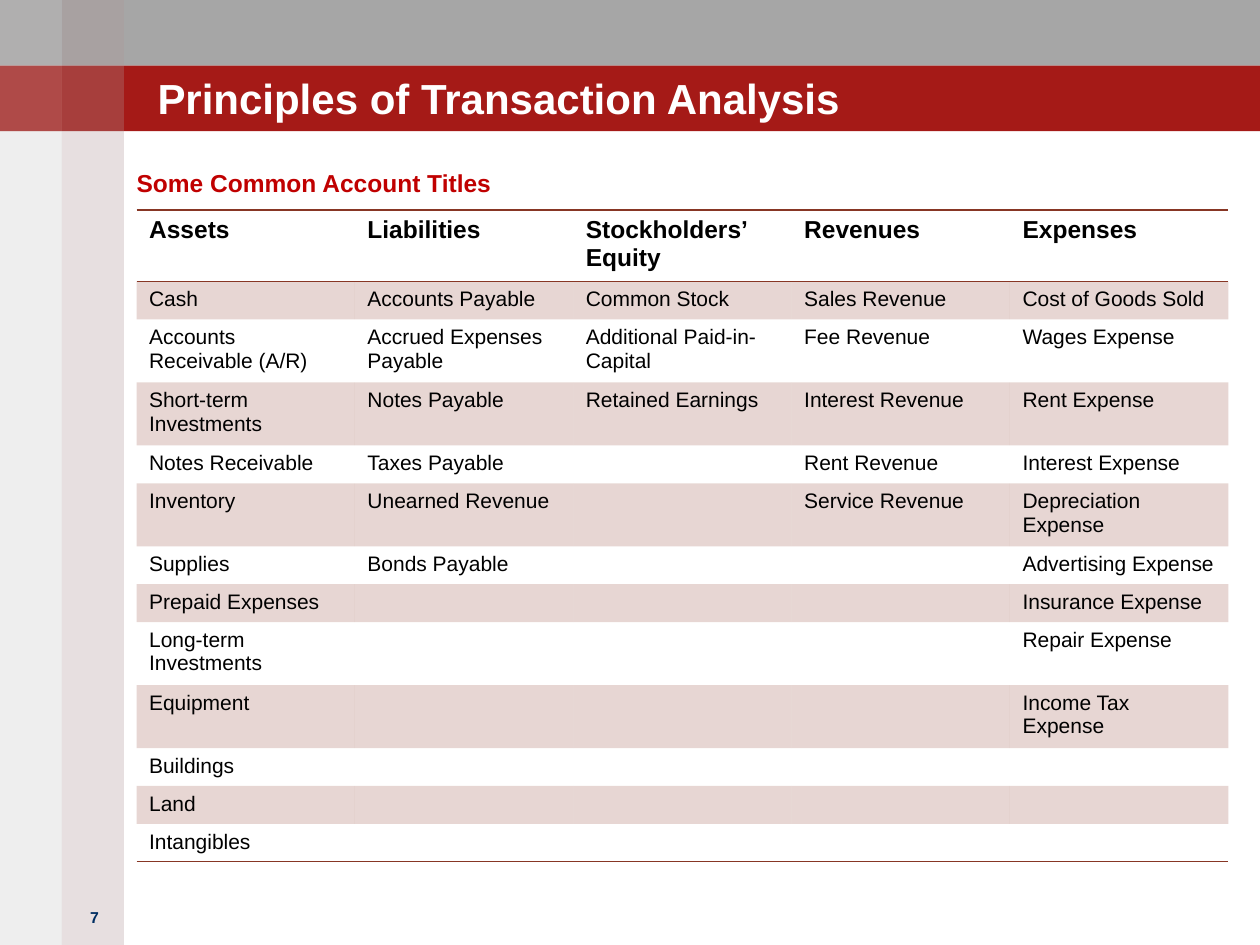
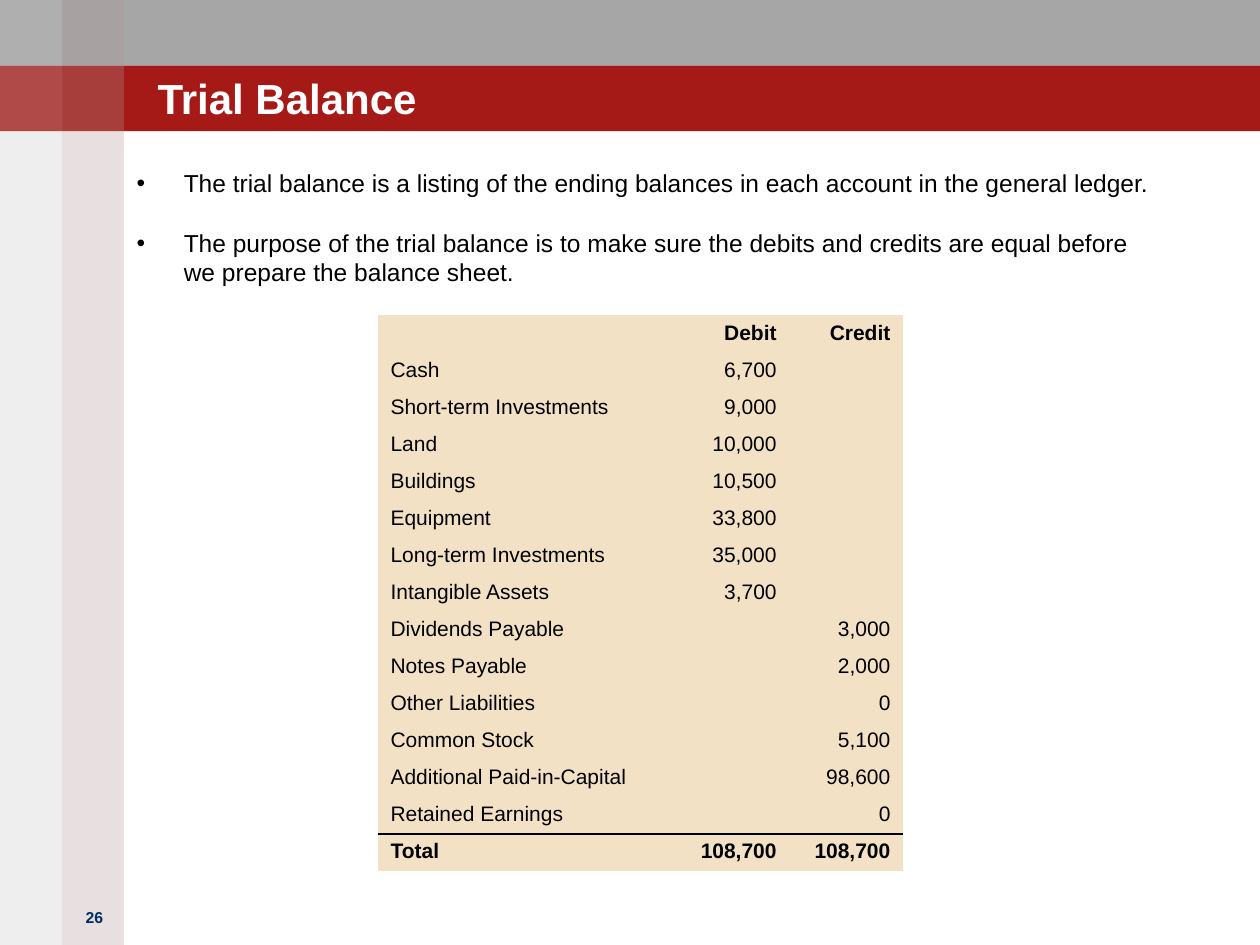
from itertools import product, zip_longest

from lxml.etree import SubElement
from pptx import Presentation
from pptx.dml.color import RGBColor
from pptx.enum.shapes import MSO_SHAPE as Preset
from pptx.enum.text import MSO_ANCHOR as Anchor, MSO_AUTO_SIZE as AutoSize, PP_ALIGN as Align
from pptx.oxml.ns import qn
from pptx.util import Pt

COLORS = {
    "gray_band": "A6A6A6", "red_band": "A51A17", "rose_strip": "A08284",
    "gray_strip": "938F8F", "white": "FFFFFF", "number": "002E62",
    "heading": "C00000", "rust": "873624", "sand": "F3E1C6", "black": "000000",
}
SLIDE_WIDTH, SLIDE_HEIGHT = 720, 540
BAND_HEIGHT, STRIP_WIDTH = 37.5, 35.4
TITLE_BOX = (90, 22.5, 570, 48)
NUMBER_BOX = (36, 515, 36, 36)
NO_GRID_STYLE = "{2D5ABB26-0587-4C30-8999-92F81FD0307C}"

ACCOUNTS = {
    "Assets": ["Cash", "Accounts Receivable (A/R)", "Short-term Investments",
               "Notes Receivable", "Inventory", "Supplies", "Prepaid Expenses",
               "Long-term Investments", "Equipment", "Buildings", "Land", "Intangibles"],
    "Liabilities": ["Accounts Payable", "Accrued Expenses Payable", "Notes Payable",
                    "Taxes Payable", "Unearned Revenue", "Bonds Payable"],
    "Stockholders’ Equity": ["Common Stock", "Additional Paid-in-Capital",
                             "Retained Earnings"],
    "Revenues": ["Sales Revenue", "Fee Revenue", "Interest Revenue", "Rent Revenue",
                 "Service Revenue"],
    "Expenses": ["Cost of Goods Sold", "Wages Expense", "Rent Expense",
                 "Interest Expense", "Depreciation Expense", "Advertising Expense",
                 "Insurance Expense", "Repair Expense", "Income Tax Expense"],
}
TWO_LINE_ROWS = {2, 3, 5, 8, 9}

BALANCES = [
    ("", "Debit", "Credit"),
    ("Cash", "6,700", ""),
    ("Short-term Investments", "9,000", ""),
    ("Land", "10,000", ""),
    ("Buildings", "10,500", ""),
    ("Equipment", "33,800", ""),
    ("Long-term Investments", "35,000", ""),
    ("Intangible Assets", "3,700", ""),
    ("Dividends Payable", "", "3,000"),
    ("Notes Payable", "", "2,000"),
    ("Other Liabilities", "", "0"),
    ("Common Stock", "", "5,100"),
    ("Additional Paid-in-Capital", "", "98,600"),
    ("Retained Earnings", "", "0"),
    ("Total", "108,700", "108,700"),
]
TRIAL_BALANCE_POINTS = [
    "The trial balance is a listing of the ending balances in each account in the "
    "general ledger.",
    "The purpose of the trial balance is to make sure the debits and credits are equal "
    "before we prepare the balance sheet.",
]


def set_all(target, values):
    for name, value in values.items():
        setattr(target, name, value)


def set_box(shape, box):
    set_all(shape, dict(zip(("left", "top", "width", "height"), map(Pt, box))))


def set_fill(fill, color, opacity=100):
    fill.solid()
    fill.fore_color.rgb = RGBColor.from_string(COLORS[color])
    if opacity < 100:
        color_element = fill._xPr.find(f".//{qn('a:srgbClr')}")
        SubElement(color_element, qn("a:alpha"), val=str(opacity * 1000))


def write(paragraph, text, size, color="black", bold=False, align=Align.LEFT):
    paragraph.alignment = align
    if not text:
        SubElement(paragraph._p, qn("a:endParaRPr"), sz=str(size * 100))
        return
    run = paragraph.add_run()
    run.text = text
    set_all(run.font, {"name": "Arial", "size": Pt(size), "bold": bold})
    run.font.color.rgb = RGBColor.from_string(COLORS[color])


def prepare_frame(shape, box, anchor):
    set_box(shape, box)
    margins = dict.fromkeys(
        ("margin_left", "margin_top", "margin_right", "margin_bottom"), 0)
    set_all(shape.text_frame, {"word_wrap": True, "auto_size": AutoSize.NONE,
                               "vertical_anchor": anchor, **margins})
    return shape.text_frame


def move_bands_to_layout(slide):
    """Draw the bands and side strips, then place them behind the layout's parts."""
    strips = [(0, "gray_strip", 15), (STRIP_WIDTH, "rose_strip", 25)]
    blocks = [
        ((0, 0, SLIDE_WIDTH, BAND_HEIGHT), "gray_band", 100),
        ((0, BAND_HEIGHT, SLIDE_WIDTH, BAND_HEIGHT), "red_band", 100),
    ]
    blocks += [((left, 0, STRIP_WIDTH, SLIDE_HEIGHT), color, opacity)
               for left, color, opacity in strips]
    blocks += [((left, top, STRIP_WIDTH, BAND_HEIGHT), "white", opacity)
               for top, (left, opacity) in product((0, BAND_HEIGHT),
                                                   ((0, 15), (STRIP_WIDTH, 5)))]
    layout_tree = slide.slide_layout.shapes.element
    for position, (box, color, opacity) in enumerate(blocks, start=2):
        block = slide.shapes.add_shape(Preset.RECTANGLE, *map(Pt, box))
        block.shadow.inherit = False
        block.line.fill.background()
        set_fill(block.fill, color, opacity)
        layout_tree.insert(position, block.element)


def add_titled_slide(presentation, title, number):
    slide = presentation.slides.add_slide(presentation.slide_layouts[1])
    frame = prepare_frame(slide.shapes.title, TITLE_BOX, Anchor.BOTTOM)
    write(frame.paragraphs[0], title, 24, "white", bold=True)
    number_frame = slide.shapes.add_textbox(*map(Pt, NUMBER_BOX)).text_frame
    number_frame.word_wrap = True
    write(number_frame.paragraphs[0], str(number), 9, "number", True, Align.CENTER)
    return slide


def fill_body(slide, box, lines, bullet=None, gap=0, **text_format):
    frame = prepare_frame(slide.placeholders[1], box, Anchor.TOP)
    indent = Pt(27) if bullet else 0
    for index, line in enumerate(lines):
        paragraph = frame.add_paragraph() if index else frame.paragraphs[0]
        paragraph.space_before = Pt(gap if index else 0)
        write(paragraph, line, 14, **text_format)
        properties = paragraph._p.get_or_add_pPr()
        properties.set("marL", str(indent))
        properties.set("indent", str(-indent))
        if bullet:
            SubElement(properties, qn("a:buFont"), typeface="Arial")
            SubElement(properties, qn("a:buChar"), char=bullet)
        else:
            SubElement(properties, qn("a:buNone"))


def add_plain_table(slide, left, top, widths, heights):
    frame = slide.shapes.add_table(len(heights), len(widths), Pt(left), Pt(top),
                                   Pt(sum(widths)), Pt(sum(heights)))
    table = frame.table
    set_all(table, {"first_row": False, "horz_banding": False})
    table._tbl.tblPr.find(qn("a:tableStyleId")).text = NO_GRID_STYLE
    for column, width in zip(table.columns, widths):
        column.width = Pt(width)
    for row, height in zip(table.rows, heights):
        row.height = Pt(height)
    return table


def add_borders(cell, color, sides):
    """Draw 1 pt borders; sides holds "T" and "B" in that order."""
    properties = cell._tc.get_or_add_tcPr()
    for position, side in enumerate(sides):
        line = SubElement(properties, qn(f"a:ln{side}"), w=str(Pt(1)))
        fill = SubElement(line, qn("a:solidFill"))
        SubElement(fill, qn("a:srgbClr"), val=COLORS[color])
        properties.insert(position, line)


def add_accounts_table(slide, left, top, width):
    rows = [tuple(ACCOUNTS), *zip_longest(*ACCOUNTS.values(), fillvalue="")]
    last = len(rows) - 1
    heights = [39.4] + [34.2 if row in TWO_LINE_ROWS else 21
                        for row in range(1, len(rows))]
    table = add_plain_table(slide, left, top, [width / len(ACCOUNTS)] * len(ACCOUNTS),
                            heights)
    for row, texts in enumerate(rows):
        for column, text in enumerate(texts):
            cell = table.cell(row, column)
            write(cell.text_frame.paragraphs[0], text, 12 if row else 14, bold=row == 0)
            if row % 2:
                set_fill(cell.fill, "rust", 20)
            else:
                cell.fill.background()
            add_borders(cell, "rust", {0: "TB", last: "B"}.get(row, ""))


def add_balance_table(slide, left, top, widths):
    last = len(BALANCES) - 1
    table = add_plain_table(slide, left, top, widths, [20.65] * len(BALANCES))
    for row, texts in enumerate(BALANCES):
        for column, text in enumerate(texts):
            cell = table.cell(row, column)
            set_all(cell, {"margin_top": Pt(3.4), "margin_bottom": Pt(3.4)})
            write(cell.text_frame.paragraphs[0], text, 12, bold=row in (0, last),
                  align=Align.RIGHT if column else Align.LEFT)
            set_fill(cell.fill, "sand")
            add_borders(cell, "black", {last - 1: "B", last: "T"}.get(row, ""))


def main():
    presentation = Presentation()
    set_all(presentation, {"slide_width": Pt(SLIDE_WIDTH), "slide_height": Pt(SLIDE_HEIGHT)})

    accounts = add_titled_slide(presentation, "Principles of Transaction Analysis", 7)
    move_bands_to_layout(accounts)
    fill_body(accounts, (78, 96, 606, 420), ["Some Common Account Titles"],
              color="heading", bold=True)
    add_accounts_table(accounts, 78, 120, 624)

    balance = add_titled_slide(presentation, "Trial Balance", 26)
    fill_body(balance, (78, 96, 588, 420), TRIAL_BALANCE_POINTS, bullet="•", gap=17.5)
    add_balance_table(balance, 216, 180, [160.7, 74.3, 65])

    presentation.save("out.pptx")


if __name__ == "__main__":
    main()
